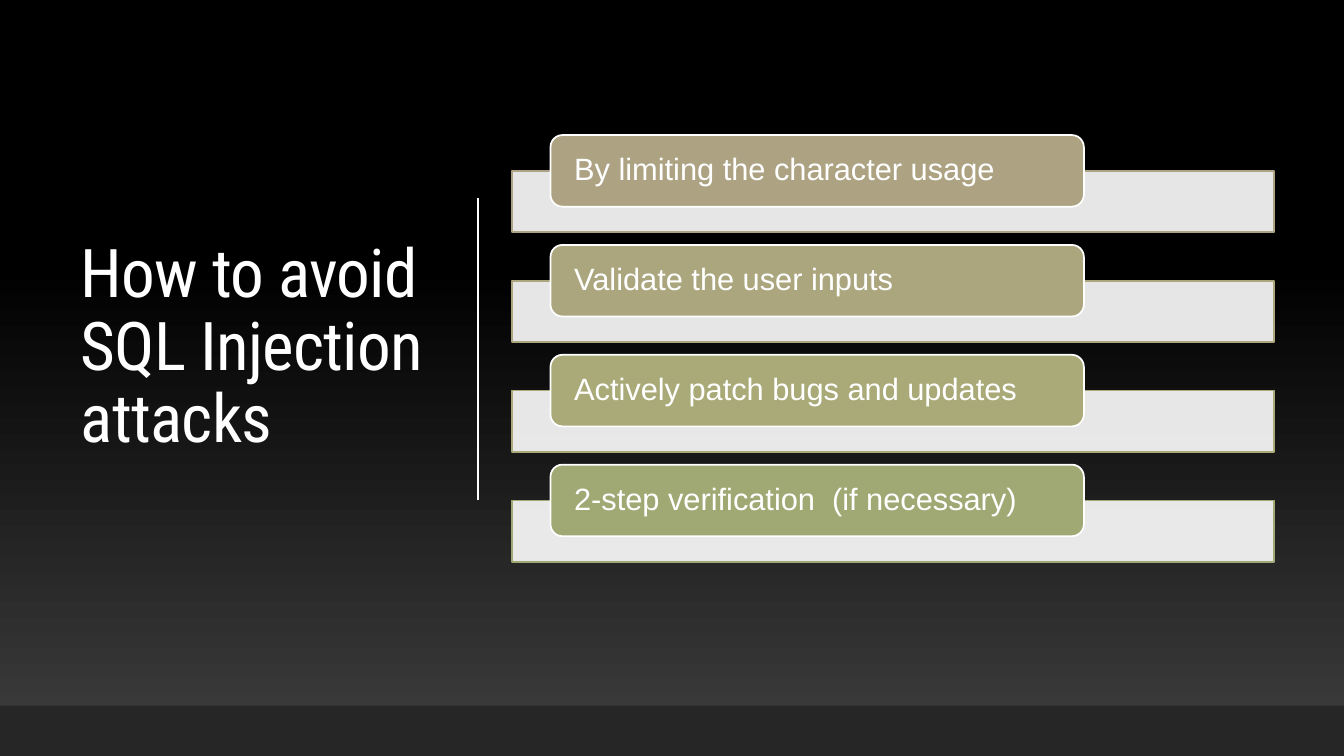
"""Build the slide on avoiding SQL injection attacks."""
import dataclasses

import pptx
import pptx.dml.color
import pptx.enum.shapes
import pptx.enum.text
import pptx.oxml.ns
import pptx.util
from lxml import etree

TITLE = "How to avoid SQL Injection attacks"
MEASURES = [
    ("By limiting the character usage", "ADA383"),
    ("Validate the user inputs", "ABA67E"),
    ("Actively patch bugs and updates", "A9AA78"),
    ("2-step verification  (if necessary)", "A0A873"),
]


@dataclasses.dataclass(frozen=True)
class Theme:
    """Colours, fonts and sizes of the slide."""
    white: str = "FFFFFF"
    black: str = "000000"
    glow: str = "3F3F3F"
    footer: str = "262626"
    title_font: str = "Roboto Condensed"
    body_font: str = "Arial"
    title_size: float = 48
    body_size: float = 22
    rule_width: float = 1
    outline_width: float = 1.25


THEME = Theme()
SHAPES = pptx.enum.shapes.MSO_SHAPE
Inches = pptx.util.Inches
FIRST_TOP = 1.34
ROW_STEP = 1.09
BAR_DROP = 0.355


def rgb(value):
    """Turn a hex string into a colour."""
    return pptx.dml.color.RGBColor.from_string(value)


def write_text(shape, text, *, font, size, color, inset, vertical_inset, tracking=0):
    """Put left-aligned, vertically centred text in a shape."""
    frame = shape.text_frame
    frame.word_wrap = True
    frame.auto_size = pptx.enum.text.MSO_AUTO_SIZE.NONE
    frame.vertical_anchor = pptx.enum.text.MSO_ANCHOR.MIDDLE
    frame.margin_left = frame.margin_right = Inches(inset)
    frame.margin_top = frame.margin_bottom = Inches(vertical_inset)
    paragraph = frame.paragraphs[0]
    paragraph.alignment = pptx.enum.text.PP_ALIGN.LEFT
    paragraph.line_spacing = 0.9
    run = paragraph.add_run()
    run.text = text
    run.font.name = font
    run.font.size = pptx.util.Pt(size)
    run.font.color.rgb = rgb(color)
    if tracking:
        run._r.get_or_add_rPr().set("spc", str(int(tracking * 100)))


def add_block(slide, kind, box, fill, line=None, opacity=100):
    """Add a filled preset shape with an optional outline."""
    shape = slide.shapes.add_shape(kind, *map(Inches, box))
    shape.shadow.inherit = False
    shape.fill.solid()
    shape.fill.fore_color.rgb = rgb(fill)
    if opacity < 100:
        color = shape._element.spPr.find(".//" + pptx.oxml.ns.qn("a:srgbClr"))
        alpha = etree.SubElement(color, pptx.oxml.ns.qn("a:alpha"))
        alpha.set("val", str(opacity * 1000))
    if line:
        shape.line.color.rgb = rgb(line)
        shape.line.width = pptx.util.Pt(THEME.outline_width)
    else:
        shape.line.fill.background()
    return shape


def paint_background(slide):
    """Fade the background from grey at the bottom to black."""
    fill = slide.background.fill
    fill.gradient()
    fill.gradient_angle = 90
    for stop, (position, color) in zip(
        fill.gradient_stops, [(0, THEME.glow), (0.65, THEME.black)]
    ):
        stop.position = position
        stop.color.rgb = rgb(color)


def add_title(slide):
    """Place the title and the rule beside it."""
    title = slide.shapes.title
    title.left, title.top, title.width, title.height = map(Inches, (0.7, 0.69, 3.69, 5.53))
    write_text(title, TITLE, font=THEME.title_font, size=THEME.title_size,
               color=THEME.white, inset=0.1, vertical_inset=0.05, tracking=-0.5)
    rule = slide.shapes.add_connector(
        pptx.enum.shapes.MSO_CONNECTOR.STRAIGHT, *map(Inches, (4.74, 1.96, 4.74, 4.96)))
    rule.line.color.rgb = rgb(THEME.white)
    rule.line.width = pptx.util.Pt(THEME.rule_width)
    etree.SubElement(rule._element.spPr, pptx.oxml.ns.qn("a:effectLst"))


def add_measure(slide, index, text, color):
    """Add one pale bar with its labelled tab."""
    top = FIRST_TOP + index * ROW_STEP
    add_block(slide, SHAPES.RECTANGLE, (5.08, top + BAR_DROP, 7.56, 0.61),
              THEME.white, color, opacity=90)
    tab = add_block(slide, SHAPES.ROUNDED_RECTANGLE, (5.46, top, 5.29, 0.71),
                    color, THEME.white)
    write_text(tab, text, font=THEME.body_font, size=THEME.body_size,
               color=THEME.white, inset=0.2, vertical_inset=0)


def main():
    """Create and save the presentation."""
    presentation = pptx.Presentation()
    presentation.slide_width = Inches(13.33)
    presentation.slide_height = Inches(7.5)
    slide = presentation.slides.add_slide(presentation.slide_layouts.get_by_name("Title Only"))
    paint_background(slide)
    add_title(slide)
    add_block(slide, SHAPES.RECTANGLE, (0, 7, 13.33, 0.5), THEME.footer)
    for index, (text, color) in enumerate(MEASURES):
        add_measure(slide, index, text, color)
    presentation.save("out.pptx")


if __name__ == "__main__":
    main()
